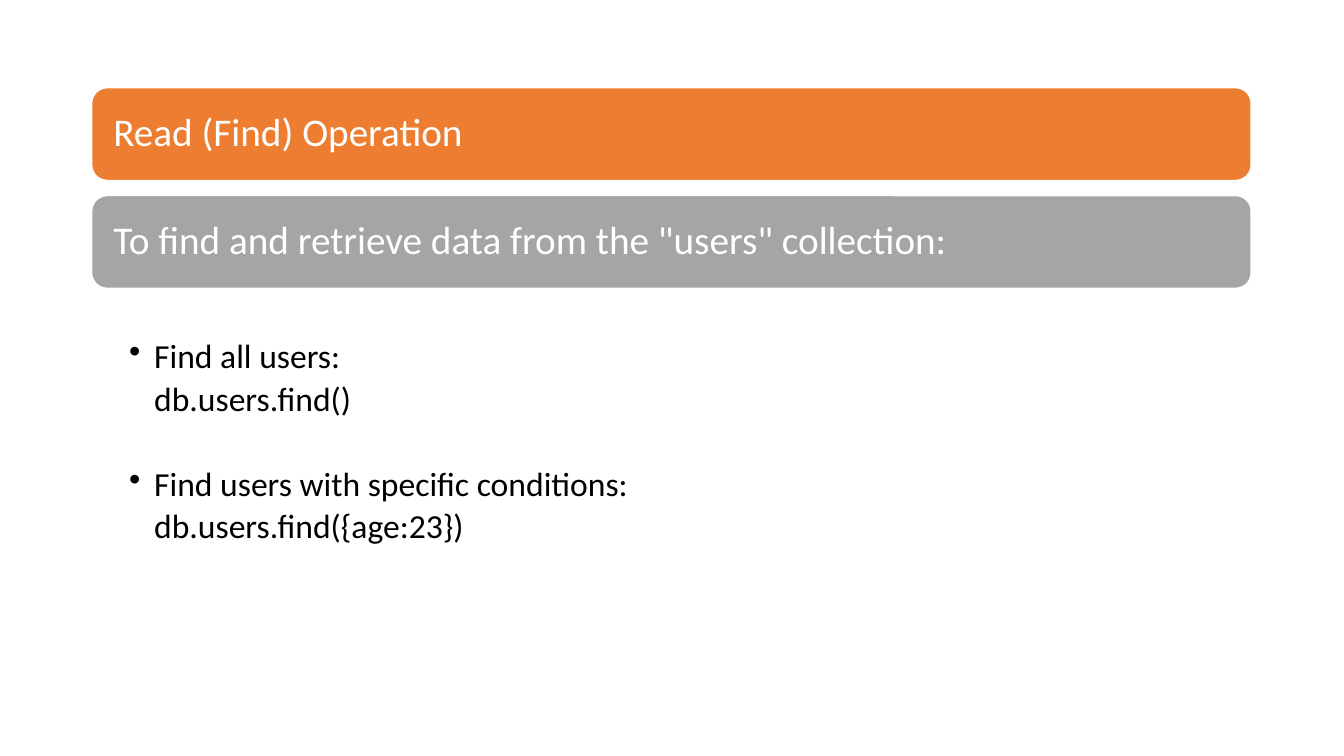
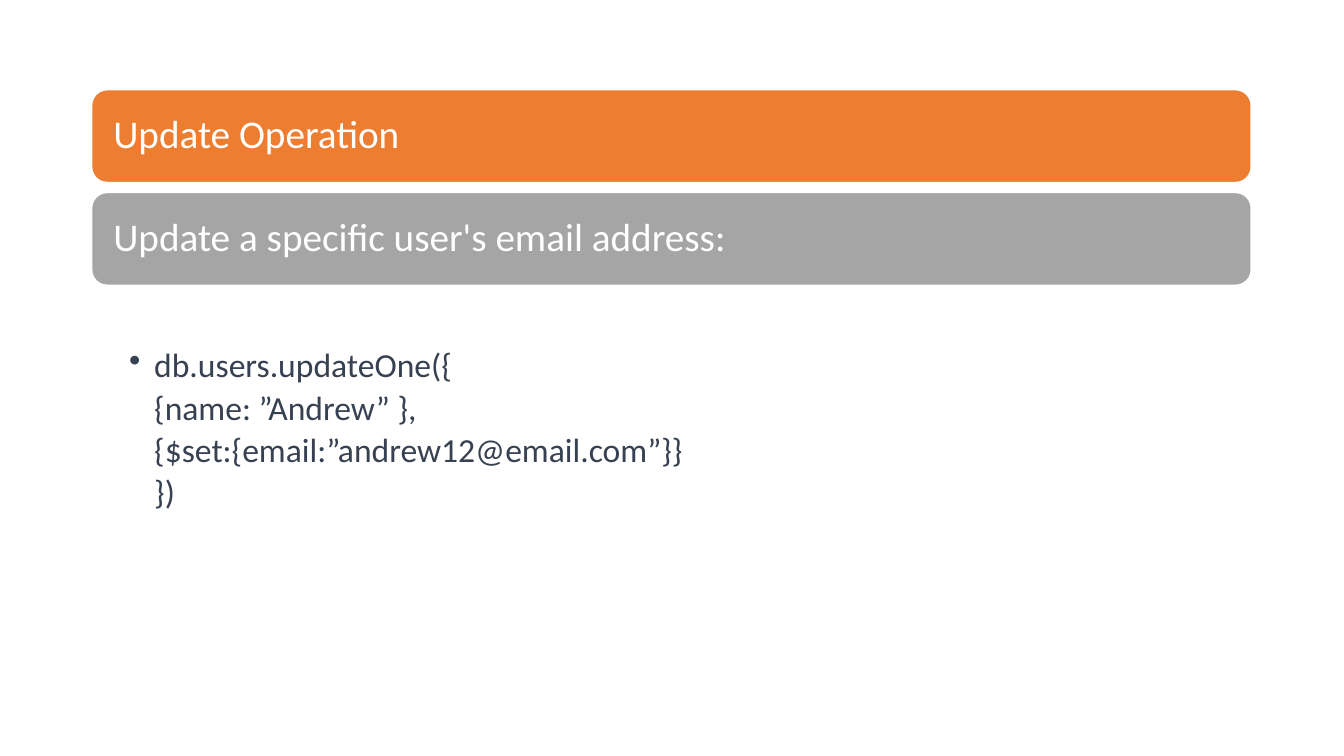
from typing import NamedTuple

from lxml.etree import SubElement
from pptx import Presentation
from pptx.dml.color import RGBColor
from pptx.enum.shapes import MSO_SHAPE
from pptx.enum.text import MSO_ANCHOR, PP_ALIGN
from pptx.oxml.ns import qn
from pptx.util import Inches, Pt

ORANGE, GRAY, WHITE = "ED7D31", "A5A5A5", "FFFFFF"
BLACK, SLATE = "000000", "374151"
FONT = "Calibri"
LEFT, WIDTH, BAND_HEIGHT = 0.91, 11.5, 0.92
LINE_GAP, GROUP_GAP = 4.35, 35
BAND_FRAME = {"word_wrap": True, "vertical_anchor": MSO_ANCHOR.MIDDLE,
              "margin_left": Inches(0.17), "margin_right": Inches(0.17)}
BODY_FRAME = {"word_wrap": True, "vertical_anchor": MSO_ANCHOR.TOP,
              "margin_left": Inches(0.37), "margin_right": Inches(0.19),
              "margin_top": Inches(0.03), "margin_bottom": Inches(0.03)}


class Band(NamedTuple):
    top: float
    fill: str
    text: str


class Body(NamedTuple):
    """Bullet groups: the first line of each has the bullet."""
    top: float
    height: float
    color: str
    groups: list[list[str]]


class Page(NamedTuple):
    bands: list[Band]
    body: Body


PAGES = [
    Page([Band(0.87, ORANGE, "Read (Find) Operation"),
          Band(1.94, GRAY, 'To find and retrieve data from the "users" collection:')],
         Body(3.34, 2.27, BLACK,
              [["Find all users:", "db.users.find()"],
               ["Find users with specific conditions:", "db.users.find({age:23})"]])),
    Page([Band(0.89, ORANGE, "Update Operation"),
          Band(1.91, GRAY, "Update a specific user's email address:")],
         Body(3.43, 1.82, SLATE,
              [["db.users.updateOne({", "{name: ”Andrew” },",
                "{$set:{email:”andrew12@email.com”}}", "})"]])),
]


def rgb(color: str) -> RGBColor:
    return RGBColor.from_string(color)


def apply(target, values: dict) -> None:
    for name, value in values.items():
        setattr(target, name, value)


def write(p, text: str, size: float, color: str, after: float = 0) -> None:
    apply(p, {"alignment": PP_ALIGN.LEFT, "line_spacing": 0.9, "space_after": Pt(after)})
    r = p.add_run()
    r.text = text
    apply(r.font, {"name": FONT, "size": Pt(size)})
    r.font.color.rgb = rgb(color)


def indent(p, bulleted: bool) -> None:
    """Align the text at a quarter inch, with a hanging bullet if wanted."""
    p_pr = p._p.get_or_add_pPr()
    p_pr.set("marL", str(Inches(0.25)))
    p_pr.set("indent", str(Inches(-0.25 if bulleted else 0)))
    if bulleted:
        SubElement(p_pr, qn("a:buChar")).set("char", "•")
    else:
        SubElement(p_pr, qn("a:buNone"))


def draw_band(s, band: Band) -> None:
    sp = s.shapes.add_shape(MSO_SHAPE.ROUNDED_RECTANGLE, Inches(LEFT), Inches(band.top),
                            Inches(WIDTH), Inches(BAND_HEIGHT))
    sp.shadow.inherit = False
    sp.fill.solid()
    sp.fill.fore_color.rgb = rgb(band.fill)
    sp.line.color.rgb = rgb(WHITE)
    sp.line.width = Pt(1)
    tf = sp.text_frame
    apply(tf, BAND_FRAME)
    write(tf.paragraphs[0], band.text, 28, WHITE)


def draw_body(s, body: Body) -> None:
    tf = s.shapes.add_textbox(Inches(LEFT), Inches(body.top),
                              Inches(WIDTH), Inches(body.height)).text_frame
    apply(tf, BODY_FRAME)
    p = tf.paragraphs[0]
    for g, group in enumerate(body.groups):
        for i, line in enumerate(group):
            if g or i:
                p = tf.add_paragraph()
            last = i == len(group) - 1
            write(p, line, 24, body.color, GROUP_GAP if last else LINE_GAP)
            indent(p, bulleted=i == 0)


def main() -> None:
    prs = Presentation()
    apply(prs, {"slide_width": Inches(13.33), "slide_height": Inches(7.5)})
    for page in PAGES:
        s = prs.slides.add_slide(prs.slide_layouts[6])
        for band in page.bands:
            draw_band(s, band)
        draw_body(s, page.body)
    prs.save("out.pptx")


if __name__ == "__main__":
    main()
